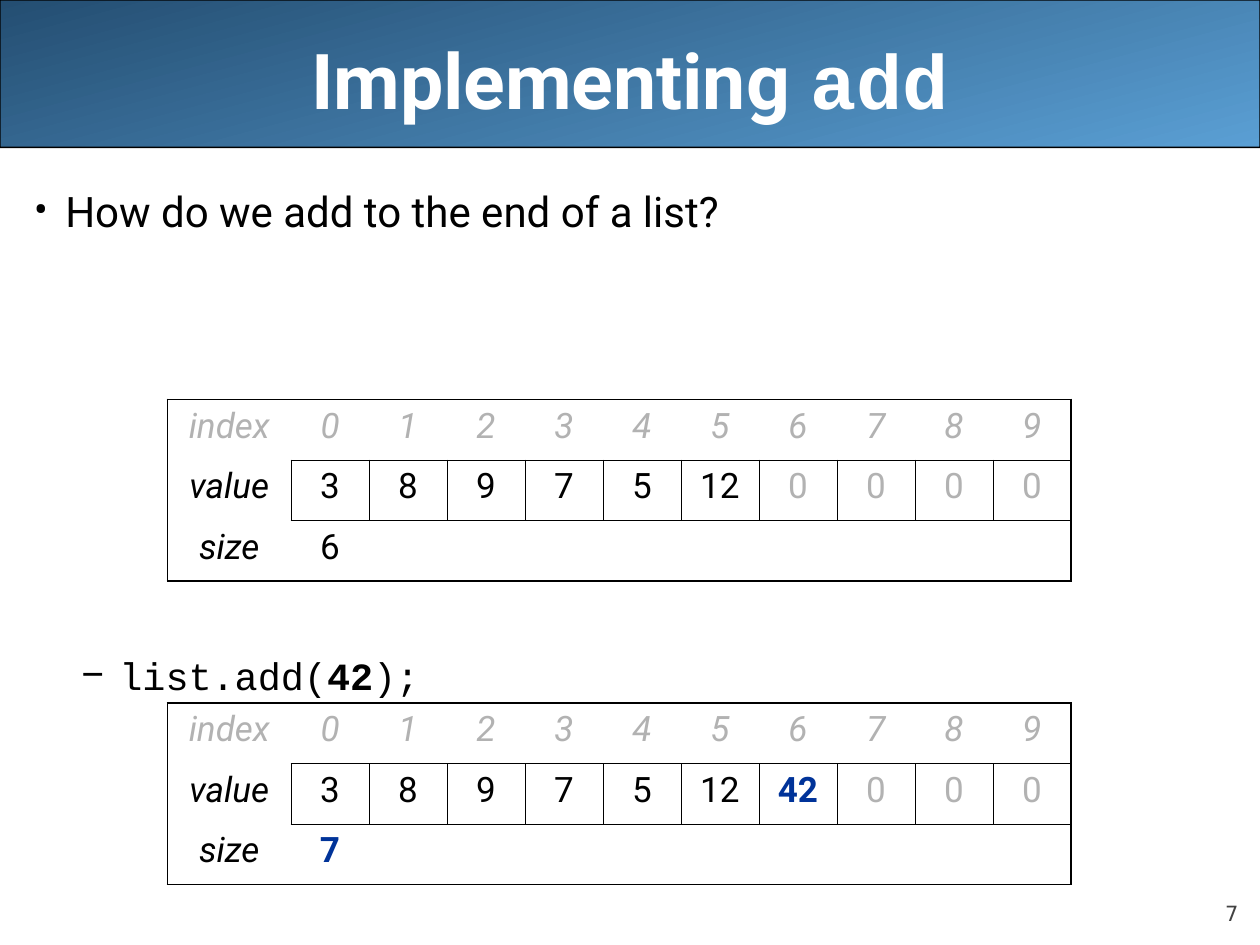
from lxml import etree
from pptx import Presentation
from pptx import util as u
from pptx.dml.color import RGBColor
from pptx.enum import shapes, text
from pptx.oxml.ns import qn

BLACK = RGBColor(0x00, 0x00, 0x00)
WHITE = RGBColor(0xFF, 0xFF, 0xFF)
GRAY = RGBColor(0xB2, 0xB2, 0xB2)
DARK_GRAY = RGBColor(0x42, 0x42, 0x42)
BLUE = RGBColor(0x00, 0x33, 0x99)
BANNER_COLORS = RGBColor(0x24, 0x4E, 0x72), RGBColor(0x5A, 0x9F, 0xD4)
SANS, MONO, NUMBER_FONT = "Roboto", "Courier New", "DejaVu Sans"

WIDTH, HEIGHT = 10, 7.5
TITLE = [("Implementing ", {"name": SANS}), ("add", {"name": MONO})]
BULLETS = [
    {"mark": "•", "level": 0, "left": 0.25, "hang": 0.25, "before": 0, "size": 24,
     "runs": [("How do we add to the end of a list?", {"name": SANS})]},
    {"mark": "–", "level": 1, "left": 0.68, "hang": 0.31, "before": 238, "size": 22,
     "runs": [("list.add(", {"name": MONO}),
              ("42", {"name": MONO, "bold": True}),
              (");", {"name": MONO})]},
]
PAGE_NUMBER = "7"

CAPACITY = 10
LISTS = [
    {"top": 3.17, "values": [3, 8, 9, 7, 5, 12], "added": False},
    {"top": 5.58, "values": [3, 8, 9, 7, 5, 12, 42], "added": True},
]
TABLE_LEFT, TABLE_WIDTH, LABEL_WIDTH, ROW_HEIGHT = 1.33, 7.17, 0.98, 0.48
ROWS, COLUMNS = 3, CAPACITY + 1
OUTER, INNER = 1.08, 0.45


def add_span(para, words, color, size, **formats):
    span = para.add_run()
    span.text = words
    span.font.color.rgb = color
    for name, value in {"size": u.Pt(size), "bold": False, **formats}.items():
        setattr(span.font, name, value)


def add_box(page, left, top, width, height, anchor, margins=(0.1, 0.05)):
    box = page.shapes.add_textbox(*map(u.Inches, (left, top, width, height)))
    frame = box.text_frame
    across, down = map(u.Inches, margins)
    settings = {"word_wrap": True, "vertical_anchor": anchor,
                "margin_left": across, "margin_right": across,
                "margin_top": down, "margin_bottom": down}
    for name, value in settings.items():
        setattr(frame, name, value)
    return frame


def add_banner(page):
    banner = page.shapes.add_shape(shapes.MSO_SHAPE.ROUNDED_RECTANGLE, 0, 0,
                                   u.Inches(WIDTH), u.Inches(1.17))
    banner.adjustments[0] = 0.001
    banner.shadow.inherit = False
    banner.fill.gradient()
    banner.fill.gradient_angle = 285
    for stop, color in zip(banner.fill.gradient_stops, BANNER_COLORS):
        stop.color.rgb = color
    banner.line.color.rgb = BLACK
    banner.line.width = u.Pt(0.75)


def add_bullet(para, bullet):
    para.level = bullet["level"]
    para.space_before = u.Pt(bullet["before"])
    props = para._p.get_or_add_pPr()
    props.set("marL", str(u.Inches(bullet["left"])))
    props.set("indent", str(-u.Inches(bullet["hang"])))
    color = etree.SubElement(props, qn("a:buClr"))
    etree.SubElement(color, qn("a:srgbClr"), val=str(BLACK))
    etree.SubElement(props, qn("a:buFont"), typeface=SANS)
    etree.SubElement(props, qn("a:buChar"), char=bullet["mark"])
    for words, formats in bullet["runs"]:
        add_span(para, words, BLACK, bullet["size"], **formats)


def horizontal_edge(edge, column):
    if edge in (0, ROWS):
        return OUTER
    return INNER if column > 0 else 0


def vertical_edge(row, edge):
    if edge in (0, COLUMNS):
        return OUTER
    return INNER if row == 1 else 0


def set_borders(cell, row, column):
    weights = {"L": vertical_edge(row, column), "R": vertical_edge(row, column + 1),
               "T": horizontal_edge(row, column), "B": horizontal_edge(row + 1, column)}
    props = cell._tc.get_or_add_tcPr()
    for position, (side, weight) in enumerate(weights.items()):
        line = etree.Element(qn(f"a:ln{side}"), w=str(u.Pt(weight)))
        if weight:
            fill = etree.SubElement(line, qn("a:solidFill"))
            etree.SubElement(fill, qn("a:srgbClr"), val=str(BLACK))
        else:
            etree.SubElement(line, qn("a:noFill"))
        props.insert(position, line)


def list_cells(values, added):
    """Map (row, column) to the words, colour and font formats of a cell."""
    size = len(values)
    fresh = (BLUE, {"bold": True}) if added else (BLACK, {})
    slanted = {"italic": True}
    cells = {(0, 0): ("index", GRAY, slanted), (1, 0): ("value", BLACK, slanted),
             (2, 0): ("size", BLACK, slanted), (2, 1): (str(size), *fresh)}
    for index in range(CAPACITY):
        cells[0, index + 1] = (str(index), GRAY, slanted)
        if index < size:
            look = fresh if index == size - 1 else (BLACK, {})
            cells[1, index + 1] = (str(values[index]), *look)
        else:
            cells[1, index + 1] = ("0", GRAY, {})
    return cells


def add_list_table(page, top, values, added):
    table = page.shapes.add_table(
        ROWS, COLUMNS, u.Inches(TABLE_LEFT), u.Inches(top),
        u.Inches(TABLE_WIDTH), u.Inches(ROWS * ROW_HEIGHT)).table
    table.first_row = table.horz_banding = False
    for number, column in enumerate(table.columns):
        slot_width = (TABLE_WIDTH - LABEL_WIDTH) / CAPACITY
        column.width = u.Inches(slot_width if number else LABEL_WIDTH)
    cells = list_cells(values, added)
    for row in range(ROWS):
        for column in range(COLUMNS):
            cell = table.cell(row, column)
            cell.fill.background()
            set_borders(cell, row, column)
            if (row, column) in cells:
                words, color, formats = cells[row, column]
                para = cell.text_frame.paragraphs[0]
                para.alignment = text.PP_ALIGN.CENTER
                add_span(para, words, color, 20, name=SANS, **formats)


def main():
    deck = Presentation()
    deck.slide_width, deck.slide_height = u.Inches(WIDTH), u.Inches(HEIGHT)
    page = deck.slides.add_slide(deck.slide_layouts[6])

    add_banner(page)
    number = add_box(page, 9, 6.95, 0.83, 0.4, text.MSO_ANCHOR.BOTTOM, (0, 0)).paragraphs[0]
    number.alignment = text.PP_ALIGN.RIGHT
    add_span(number, PAGE_NUMBER, DARK_GRAY, 12, name=NUMBER_FONT)

    title = add_box(page, 0.5, 0, 9, 1.25, text.MSO_ANCHOR.MIDDLE).paragraphs[0]
    title.alignment = text.PP_ALIGN.CENTER
    for words, formats in TITLE:
        add_span(title, words, WHITE, 44, bold=True, **formats)

    body = add_box(page, 0.17, 1.42, 9.83, 5.67, text.MSO_ANCHOR.TOP)
    for position, bullet in enumerate(BULLETS):
        add_bullet(body.add_paragraph() if position else body.paragraphs[0], bullet)

    for entry in LISTS:
        add_list_table(page, **entry)
    deck.save("out.pptx")


if __name__ == "__main__":
    main()
